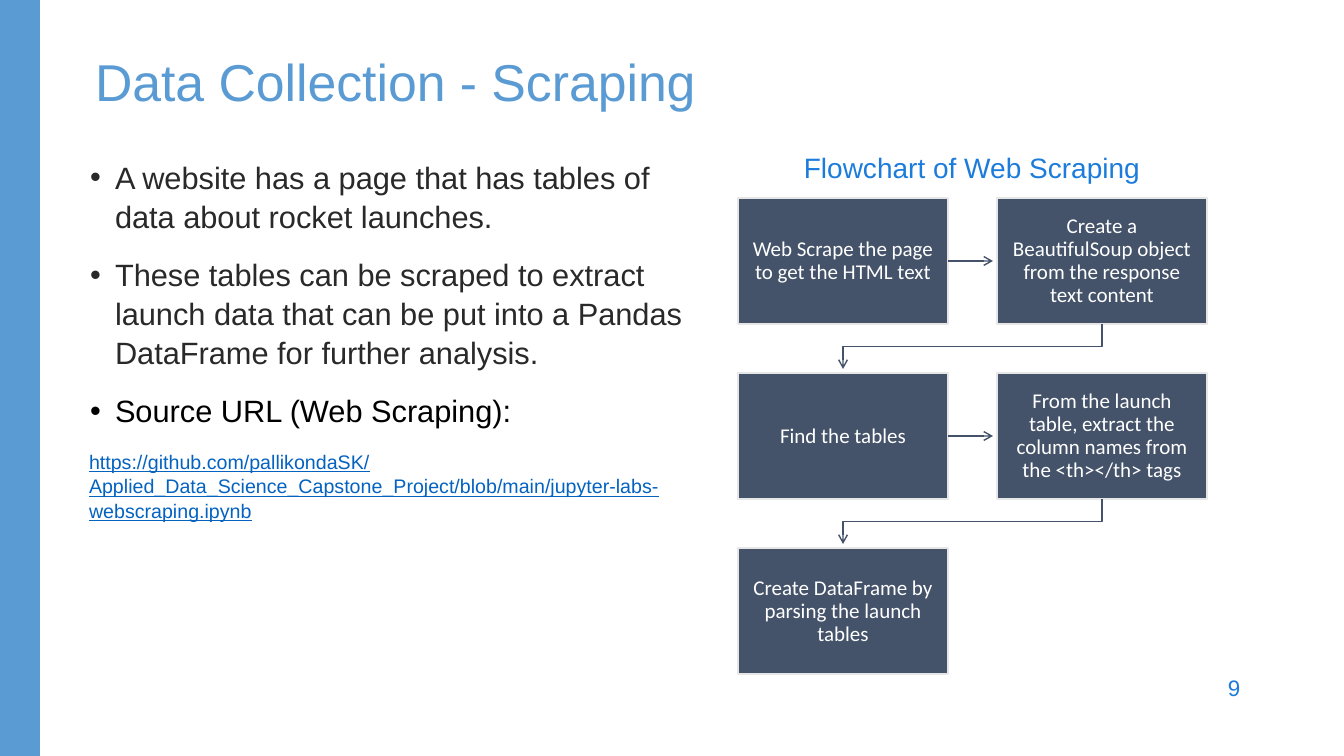
from lxml import etree
from pptx import Presentation
from pptx.dml.color import RGBColor
from pptx.enum.shapes import MSO_CONNECTOR, MSO_SHAPE
from pptx.enum.text import MSO_ANCHOR, MSO_AUTO_SIZE, PP_ALIGN
from pptx.oxml.ns import qn
from pptx.util import Pt

RECT = MSO_SHAPE.RECTANGLE
STRAIGHT, ELBOW = MSO_CONNECTOR.STRAIGHT, MSO_CONNECTOR.ELBOW
LEFT, CENTER = PP_ALIGN.LEFT, PP_ALIGN.CENTER
TOP, MIDDLE = MSO_ANCHOR.TOP, MSO_ANCHOR.MIDDLE

# Content
TITLE = "Data Collection - Scraping"
HEADING = "Flowchart of Web Scraping"
PAGE_NUMBER = "9"
URL = ("https://github.com/pallikondaSK/Applied_Data_Science_Capstone_Project"
       "/blob/main/jupyter-labs-webscraping.ipynb")
BULLETS = [  # lines, colour
    (["A website has a page that has tables of", "data about rocket launches."], "292929"),
    (["These tables can be scraped to extract",
      "launch data that can be put into a Pandas",
      "DataFrame for further analysis."], "292929"),
    (["Source URL (Web Scraping):"], "000000"),
]
STEPS = [
    ["Web Scrape the page", "to get the HTML text"],
    ["Create a", "BeautifulSoup object", "from the response", "text content"],
    ["Find the tables"],
    ["From the launch", "table, extract the", "column names from", "the <th></th> tags"],
    ["Create DataFrame by", "parsing the launch", "tables"],
]

# Style and layout in px
SKY, BLUE, SLATE, PALE, LINK = "5B9BD4", "1C7CDB", "44536A", "E7E6E6", "0462C1"
COLUMNS = 2
FLOW_LEFT, FLOW_TOP = 738, 198
STEP_W, STEP_H = 210, 126
GAP_X, GAP_Y = 49, 49
TIP_GAP = 4


def px(length):
    return round(length * 914400 / 100.8)


def color(hex_string):
    return RGBColor.from_string(hex_string)


def place(shape, left, top, width, height):
    shape.left, shape.top = px(left), px(top)
    shape.width, shape.height = px(width), px(height)


def prepare(shape, anchor=TOP):
    frame = shape.text_frame
    frame.auto_size = MSO_AUTO_SIZE.NONE
    frame.word_wrap = True
    frame.vertical_anchor = anchor
    frame.margin_left = frame.margin_right = frame.margin_top = frame.margin_bottom = 0
    return frame


def write(para, lines, size, hex_color, font="Arial", align=LEFT, underline=None):
    para.alignment = align
    para.space_before = Pt(0)
    for number, line in enumerate(lines):
        if number:
            para.add_line_break()
        span = para.add_run()
        span.text = line
        span.font.name, span.font.size = font, Pt(size)
        span.font.color.rgb = color(hex_color)
        span.font.underline = underline


def set_bullet(para, char=None):
    props = para._p.get_or_add_pPr()
    props.set("marL", str(px(26 if char else 0)))
    props.set("indent", str(px(-25 if char else 0)))
    if char:
        etree.SubElement(props, qn("a:buChar")).set("char", char)
    else:
        etree.SubElement(props, qn("a:buNone"))


def add_label(page, text, box_px, size, align):
    box = page.shapes.add_textbox(*map(px, box_px))
    write(prepare(box).paragraphs[0], [text], size, BLUE, align=align)


def add_block(page, box_px, fill):
    block = page.shapes.add_shape(RECT, *map(px, box_px))
    block.shadow.inherit = False
    block.fill.solid()
    block.fill.fore_color.rgb = color(fill)
    block.line.fill.background()
    return block


def add_arrow(page, kind, x1, y1, x2, y2):
    arrow = page.shapes.add_connector(kind, px(x1), px(y1), px(x2), px(y2))
    arrow.line.color.rgb = color(SLATE)
    arrow.line.width = Pt(1)
    head = etree.SubElement(arrow.line._get_or_add_ln(), qn("a:tailEnd"))
    head.set("type", "arrow")
    etree.SubElement(arrow._element.spPr, qn("a:effectLst"))
    return arrow


def add_down_elbow(page, x1, y1, x2, y2):
    # A quarter turn makes the elbow leave and arrive vertically
    mid_x, mid_y = (x1 + x2) / 2, (y1 + y2) / 2
    half_w, half_h = (y2 - y1) / 2, (x1 - x2) / 2
    elbow = add_arrow(page, ELBOW, mid_x - half_w, mid_y - half_h,
                      mid_x + half_w, mid_y + half_h)
    elbow._element.spPr.find(qn("a:xfrm")).set("rot", "5400000")


def step_corner(index):
    row, column = divmod(index, COLUMNS)
    return FLOW_LEFT + column * (STEP_W + GAP_X), FLOW_TOP + row * (STEP_H + GAP_Y)


def add_flowchart(page):
    for index, lines in enumerate(STEPS):
        left, top = step_corner(index)
        step = add_block(page, (left, top, STEP_W, STEP_H), SLATE)
        step.line.color.rgb = color(PALE)
        step.line.width = Pt(0.96)
        para = prepare(step, MIDDLE).paragraphs[0]
        write(para, lines, 15, "FFFFFF", "Calibri", CENTER)
        para.line_spacing = Pt(16.4)

    for index in range(len(STEPS) - 1):
        left, top = step_corner(index)
        next_left, next_top = step_corner(index + 1)
        if next_top == top:
            middle = top + STEP_H / 2
            add_arrow(page, STRAIGHT, left + STEP_W, middle, next_left - TIP_GAP, middle)
        else:
            add_down_elbow(page, left + STEP_W / 2, top + STEP_H,
                           next_left + STEP_W / 2, next_top - TIP_GAP)


def main():
    deck = Presentation()
    deck.slide_width, deck.slide_height = px(1344), px(756)
    page = deck.slides.add_slide(deck.slide_layouts[1])
    add_block(page, (0, 0, 40, 756), SKY)

    # Title
    title = page.shapes.title
    place(title, 95, 50, 605, 65)
    write(prepare(title).paragraphs[0], [TITLE], 37, SKY)

    # Bullets and link
    body = page.placeholders[1]
    place(body, 89, 157, 611, 360)
    frame = prepare(body)
    for number, (lines, hex_color) in enumerate(BULLETS):
        para = frame.add_paragraph() if number else frame.paragraphs[0]
        set_bullet(para, "•")
        write(para, lines, 22, hex_color)
    link = frame.add_paragraph()
    set_bullet(link)
    write(link, [URL], 14, LINK, underline=True)
    for number, para in enumerate(frame.paragraphs):
        para.line_spacing = 1.05
        para.space_before = Pt(14 if number else 0)

    # Flowchart and page number
    add_label(page, HEADING, (792, 151, 360, 37), 20, CENTER)
    add_flowchart(page)
    add_label(page, PAGE_NUMBER, (1228, 674, 33, 28), 16, LEFT)

    deck.save("out.pptx")


if __name__ == "__main__":
    main()
